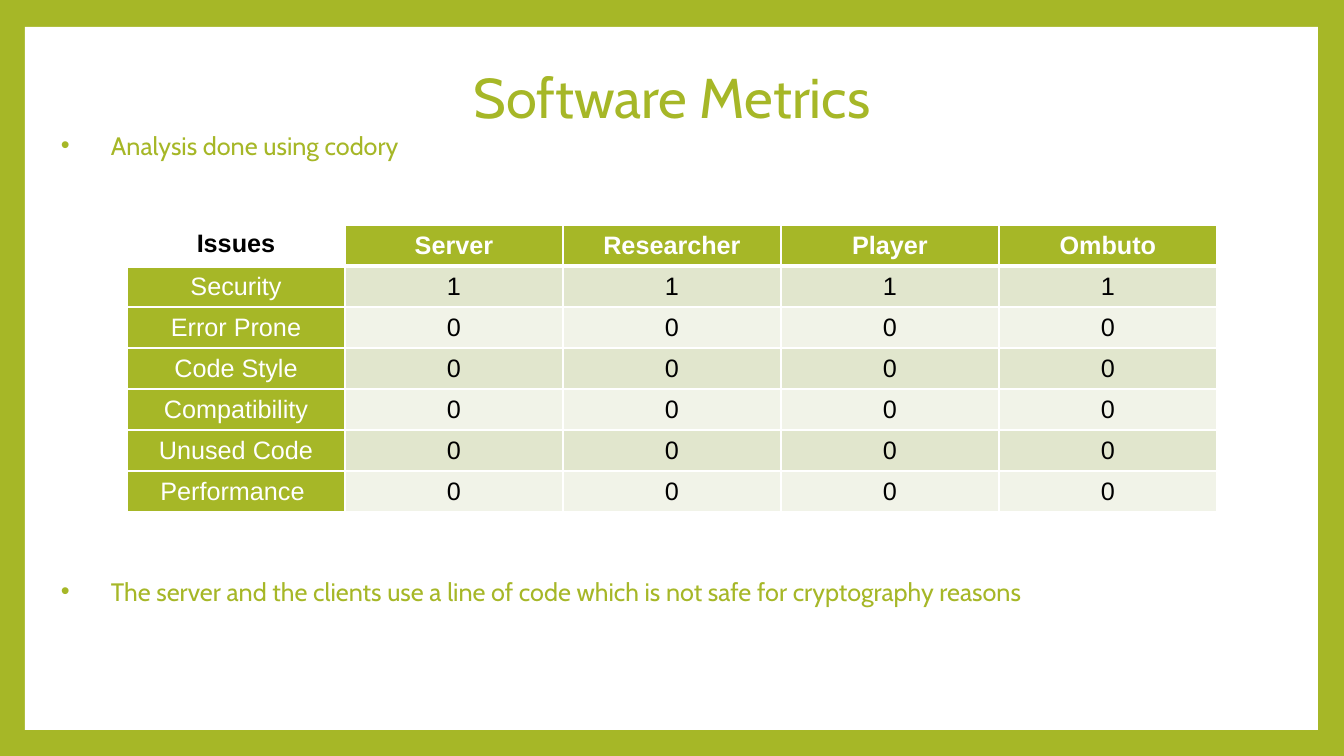
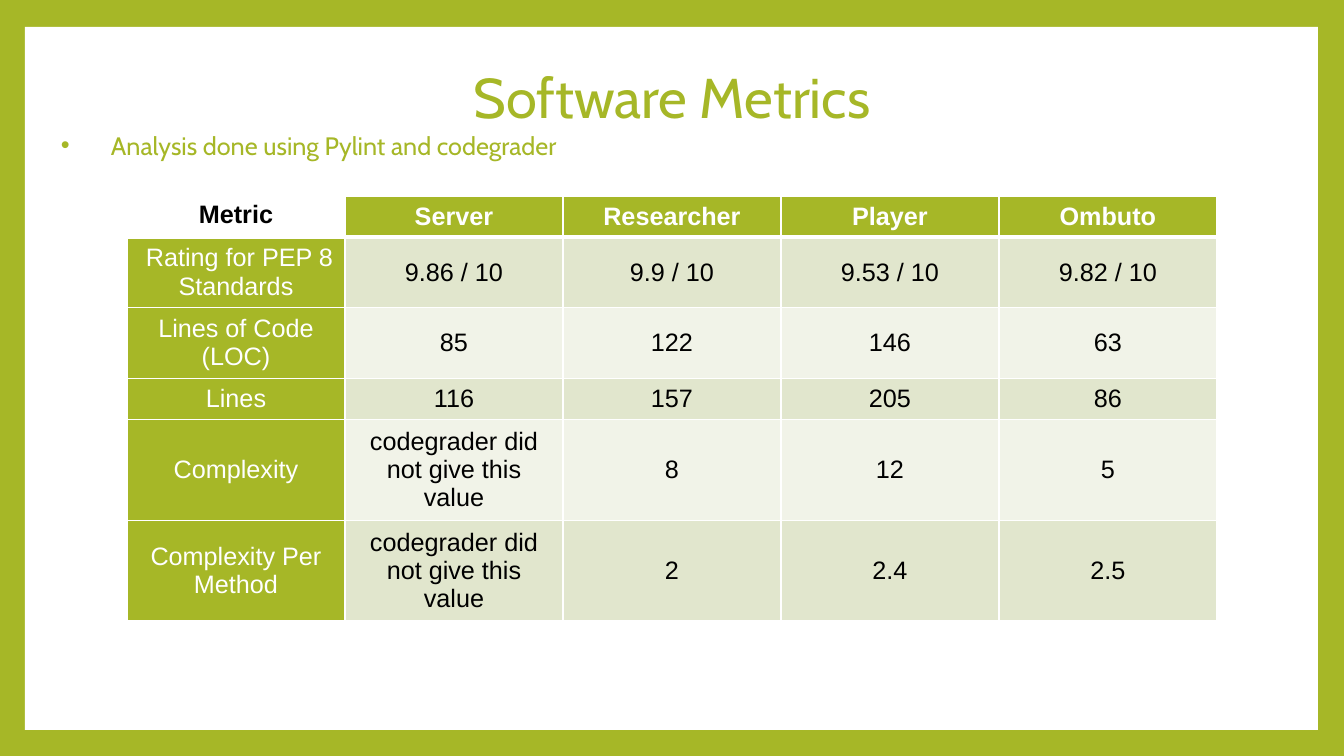
from lxml.etree import SubElement
from pptx import Presentation
from pptx.dml.color import RGBColor
from pptx.enum.shapes import MSO_SHAPE
from pptx.enum.text import MSO_ANCHOR, MSO_AUTO_SIZE, PP_ALIGN
from pptx.oxml.ns import qn
from pptx.util import Emu, Pt

# Shared scale, colours and fonts
EMU_PER_PIXEL = 914400 / 100.8
GREEN, WHITE, BLACK = "A6B727", "FFFFFF", "000000"
BANDS = ("E1E6CD", "F1F3E8")
TITLE_FONT, TABLE_FONT = "Cabin", "Arial"

# Shared boxes: left, top, width, height
PANEL_BOX = (25, 27, 1293, 703)
TITLE_BOX = (270, 57, 804, 78)
INTRO_BOX = (51, 94, 592, 102)
CLOSING_BOX = (51, 540, 1166, 102)
TABLE_LEFT, COLUMN_WIDTH, ROW_HEIGHT = 127, 218, 41
BULLET_INDENT = 50

COMPONENTS = ("Server", "Researcher", "Player", "Ombuto")
NO_VALUE = "codegrader did not give this value"


def px(pixels):
    return Emu(round(pixels * EMU_PER_PIXEL))


def color(hex_string):
    return RGBColor.from_string(hex_string)


def place(shape, box):
    shape.left, shape.top, shape.width, shape.height = map(px, box)


def add_run(paragraph, text, font_name, size, hex_string, bold=False):
    run = paragraph.add_run()
    run.text = text
    run.font.name = font_name
    run.font.size = Pt(size)
    run.font.bold = bold
    run.font.color.rgb = color(hex_string)


# Green frame, set once for all slides
def style_master(presentation):
    fill = presentation.slide_master.background.fill
    fill.solid()
    fill.fore_color.rgb = color(GREEN)


# White panel behind everything else
def add_panel(slide, box):
    panel = slide.shapes.add_shape(MSO_SHAPE.RECTANGLE, *map(px, box))
    panel.shadow.inherit = False
    panel.fill.solid()
    panel.fill.fore_color.rgb = color(WHITE)
    panel.line.fill.background()
    slide.shapes.element.insert(2, panel.element)


# Title
def add_title(slide, text, box):
    title = slide.shapes.title
    place(title, box)
    frame = title.text_frame
    frame.auto_size = MSO_AUTO_SIZE.SHAPE_TO_FIT_TEXT
    frame.vertical_anchor = MSO_ANCHOR.TOP
    paragraph = frame.paragraphs[0]
    paragraph.alignment = PP_ALIGN.CENTER
    add_run(paragraph, text, TITLE_FONT, 40, GREEN)


# One bulleted remark, centred vertically in its box
def add_bullet(slide, text, box):
    frame = slide.shapes.add_textbox(*map(px, box)).text_frame
    frame.word_wrap = True
    frame.vertical_anchor = MSO_ANCHOR.MIDDLE
    paragraph = frame.paragraphs[0]
    add_run(paragraph, text, TITLE_FONT, 18, GREEN)
    properties = paragraph._p.get_or_add_pPr()
    properties.set("marL", str(px(BULLET_INDENT)))
    properties.set("indent", str(-px(BULLET_INDENT)))
    SubElement(properties, qn("a:buFont")).set("typeface", "Arial")
    SubElement(properties, qn("a:buChar")).set("char", "•")


def add_borders(cell, row):
    widths = {"L": 1, "R": 1, "T": 3 if row == 1 else 1, "B": 3 if row == 0 else 1}
    properties = cell._tc.get_or_add_tcPr()
    for side, width in widths.items():
        line = SubElement(properties, qn(f"a:ln{side}"))
        line.set("w", str(Pt(width)))
        fill = SubElement(line, qn("a:solidFill"))
        SubElement(fill, qn("a:srgbClr")).set("val", WHITE)


def cell_colors(row, column):
    if row == 0 and column == 0:
        return WHITE, BLACK
    if row == 0 or column == 0:
        return GREEN, WHITE
    return BANDS[(row - 1) % 2], BLACK


# Table with a header row and a label column
def add_metrics_table(slide, rows, top, row_heights):
    column_count = len(rows[0])
    box = (TABLE_LEFT, top, COLUMN_WIDTH * column_count, sum(row_heights))
    table = slide.shapes.add_table(len(rows), column_count, *map(px, box)).table
    table.horz_banding = False
    for column in table.columns:
        column.width = px(COLUMN_WIDTH)
    for row, (values, height) in enumerate(zip(rows, row_heights)):
        table.rows[row].height = px(height)
        for column, value in enumerate(values):
            cell = table.cell(row, column)
            fill_color, text_color = cell_colors(row, column)
            add_borders(cell, row)
            cell.fill.solid()
            cell.fill.fore_color.rgb = color(fill_color)
            corner = row == 0 and column == 0
            cell.vertical_anchor = MSO_ANCHOR.TOP if corner else MSO_ANCHOR.MIDDLE
            paragraph = cell.text_frame.paragraphs[0]
            paragraph.alignment = PP_ALIGN.CENTER
            add_run(paragraph, value, TABLE_FONT, 18, text_color, bold=row == 0)


# One metrics slide: title, remark, table and an optional closing remark
def add_metrics_slide(presentation, intro, rows, top, row_heights, closing=None):
    slide = presentation.slides.add_slide(presentation.slide_layouts[5])
    add_panel(slide, PANEL_BOX)
    add_title(slide, "Software Metrics", TITLE_BOX)
    add_metrics_table(slide, rows, top, row_heights)
    add_bullet(slide, intro, INTRO_BOX)
    if closing:
        add_bullet(slide, closing, CLOSING_BOX)


ISSUE_COUNTS = {
    "Security": "1", "Error Prone": "0", "Code Style": "0",
    "Compatibility": "0", "Unused Code": "0", "Performance ": "0",
}
ISSUE_ROWS = [("Issues", *COMPONENTS)] + [
    (issue, *[count] * len(COMPONENTS)) for issue, count in ISSUE_COUNTS.items()
]
METRIC_ROWS = [
    ("Metric", *COMPONENTS),
    (" Rating for PEP 8 Standards", "9.86 / 10", "9.9 / 10", "9.53 / 10", "9.82 / 10"),
    ("Lines of Code (LOC)", "85", "122", "146", "63"),
    ("Lines", "116", "157", "205", "86"),
    ("Complexity", NO_VALUE, "8", "12", "5"),
    ("Complexity Per Method", NO_VALUE, "2", "2.4", "2.5"),
]

presentation = Presentation()
presentation.slide_width, presentation.slide_height = px(1344), px(756)
style_master(presentation)

add_metrics_slide(
    presentation, "Analysis done using codory", ISSUE_ROWS, 225,
    [ROW_HEIGHT] * len(ISSUE_ROWS),
    "The server and the clients use a line of code which is not safe "
    "for cryptography reasons",
)
add_metrics_slide(
    presentation, "Analysis done using Pylint and codegrader", METRIC_ROWS, 196,
    [ROW_HEIGHT, 70, 70, ROW_HEIGHT, 101, 100],
)

presentation.save("out.pptx")
